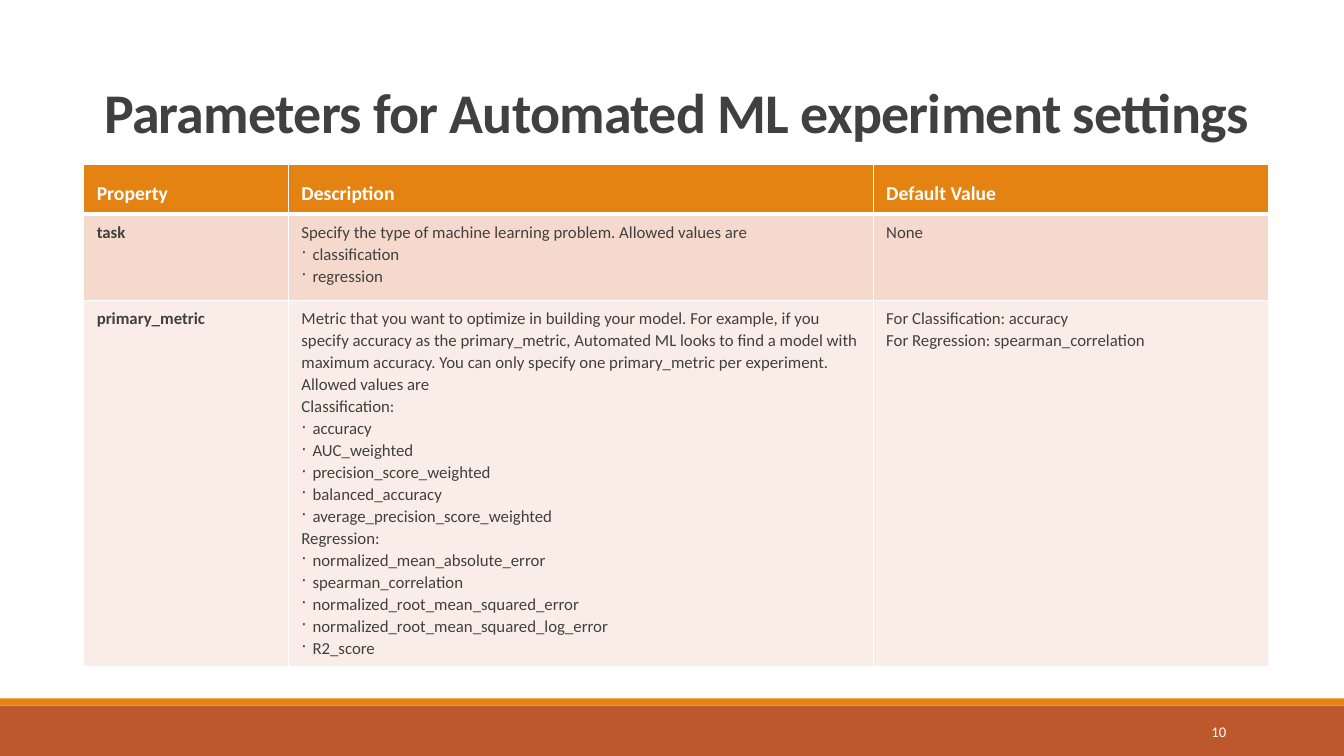
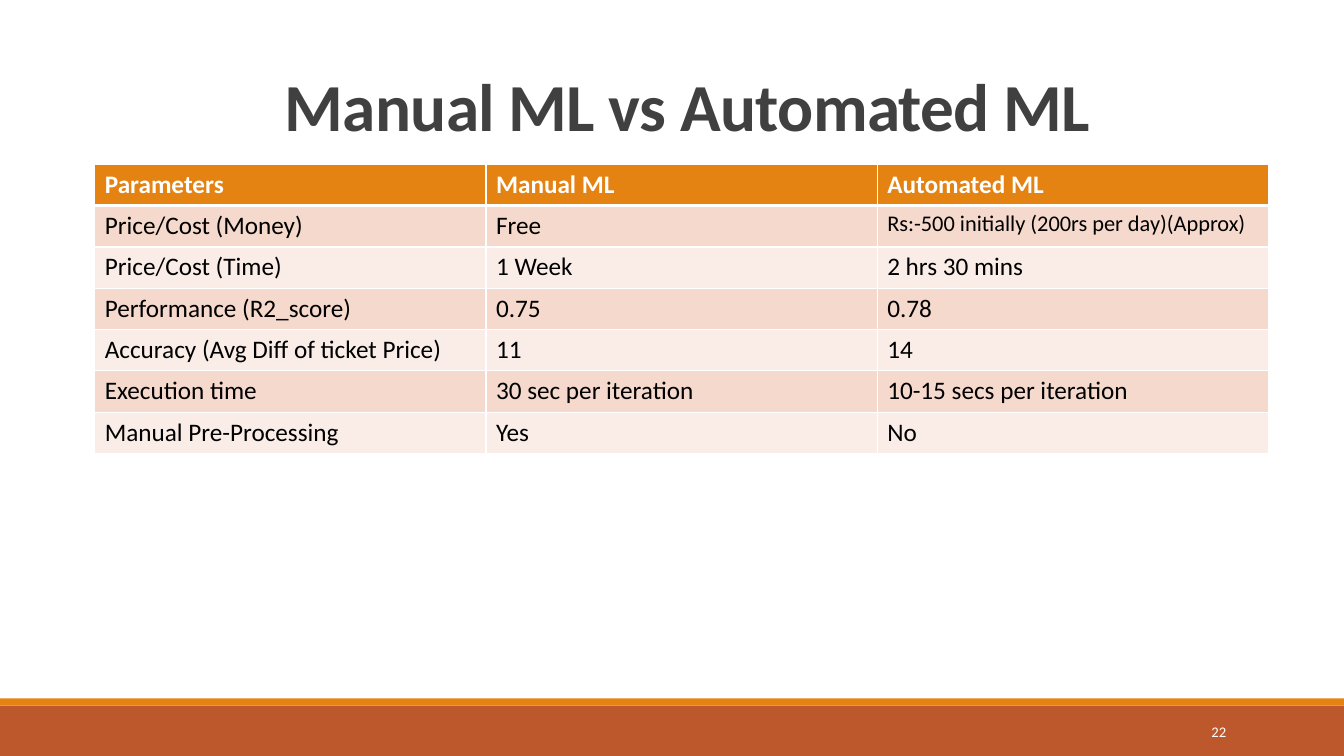
from dataclasses import dataclass
from typing import Optional

import pptx
import pptx.dml.color
import pptx.enum.shapes
import pptx.enum.text
import pptx.oxml.ns
import pptx.util
from lxml import etree

Inches = pptx.util.Inches
Pt = pptx.util.Pt
Align = pptx.enum.text.PP_ALIGN
Anchor = pptx.enum.text.MSO_ANCHOR


# Colours and type sizes
@dataclass(frozen=True)
class Theme:
    font: str = "Calibri"
    orange: str = "E48312"
    rust: str = "BD582C"
    dark: str = "404040"
    black: str = "000000"
    white: str = "FFFFFF"
    bands: tuple = ("F5D9CC", "FAEDE7")
    page: float = 10.5
    thin: float = 1
    thick: float = 3


THEME = Theme()


@dataclass(frozen=True)
class Para:
    text: str
    dot: bool = False
    size: Optional[float] = None


@dataclass(frozen=True)
class Look:
    """How the cells of one table are set."""
    head: float
    body: float
    ink: str
    pads: tuple        # head and body insets: left, then the other sides
    anchor: Anchor = Anchor.TOP
    lead: Optional[float] = None
    lift: bool = False  # bold first column


@dataclass(frozen=True)
class Grid:
    left: float
    cols: tuple
    rows: tuple
    cells: tuple
    look: Look


@dataclass(frozen=True)
class Page:
    title: str
    size: float
    number: int
    grid: Grid


def color(code: str):
    return pptx.dml.color.RGBColor.from_string(code)


def style(para, size: float, ink: str, bold: bool = False) -> None:
    for run in para.runs:
        font = run.font
        font.name, font.size, font.bold = THEME.font, Pt(size), bold
        font.color.rgb = color(ink)


def band(slide, top: float, height: float, code: str) -> None:
    kind = pptx.enum.shapes.MSO_SHAPE.RECTANGLE
    shape = slide.shapes.add_shape(
        kind, 0, Inches(top), Inches(13.33), Inches(height))
    shape.shadow.inherit = False
    shape.fill.solid()
    shape.fill.fore_color.rgb = color(code)
    shape.line.fill.background()


def label(slide, box: tuple, text: str, anchor: Anchor, align: Align):
    shape = slide.shapes.add_textbox(*map(Inches, box))
    frame = shape.text_frame
    frame.word_wrap = True
    frame.vertical_anchor = anchor
    frame.text = text
    para = frame.paragraphs[0]
    para.alignment = align
    return para


# Table parts
def border(cell, top: float, bottom: float) -> None:
    props = cell._tc.get_or_add_tcPr()
    qn = pptx.oxml.ns.qn
    widths = {"L": THEME.thin, "R": THEME.thin, "T": top, "B": bottom}
    for side, width in widths.items():
        line = etree.SubElement(props, qn("a:ln" + side), w=str(Pt(width)))
        fill = etree.SubElement(line, qn("a:solidFill"))
        etree.SubElement(fill, qn("a:srgbClr"), val=THEME.white)


def bullet(para) -> None:
    props = para._p.get_or_add_pPr()
    props.set("marL", str(Inches(0.11)))
    props.set("indent", str(-Inches(0.11)))
    etree.SubElement(props, pptx.oxml.ns.qn("a:buChar"), char="·")


def write(cell, item, row: int, col: int, look: Look) -> None:
    head = row == 0
    border(cell, THEME.thick if row == 1 else THEME.thin,
           THEME.thick if head else THEME.thin)
    cell.fill.solid()
    cell.fill.fore_color.rgb = color(
        THEME.orange if head else THEME.bands[(row - 1) % 2])
    left, rest = look.pads[0 if head else 1]
    cell.margin_left = Inches(left)
    cell.margin_right = cell.margin_top = cell.margin_bottom = Inches(rest)
    if look.lead:
        cell.margin_right = Inches(rest)
    else:
        cell.margin_right = Inches(left)
    cell.vertical_anchor = look.anchor if head else Anchor.TOP

    parts = item if isinstance(item, tuple) else (item,)
    parts = [p if isinstance(p, Para) else Para(p) for p in parts]
    frame = cell.text_frame
    frame.text = "\n".join(p.text for p in parts)
    for para, part in zip(frame.paragraphs, parts):
        if look.lead:
            para.line_spacing = Pt(look.lead)
        if part.dot:
            bullet(para)
        style(para, part.size or (look.head if head else look.body),
              THEME.white if head else look.ink,
              head or (look.lift and col == 0))


def table(slide, grid: Grid) -> None:
    shape = slide.shapes.add_table(
        len(grid.rows), len(grid.cols), Inches(grid.left), Inches(1.63),
        Inches(sum(grid.cols)), Inches(sum(grid.rows)))
    body = shape.table
    for col, width in zip(body.columns, grid.cols):
        col.width = Inches(width)
    for row, height in zip(body.rows, grid.rows):
        row.height = Inches(height)
    for r, line in enumerate(grid.cells):
        for c, item in enumerate(line):
            write(body.cell(r, c), item, r, c, grid.look)


# One slide: bands, page number, title, table
def draw(deck, page: Page) -> None:
    slide = deck.slides.add_slide(deck.slide_layouts[6])
    band(slide, 7, 0.5, THEME.rust)
    band(slide, 6.93, 0.07, THEME.orange)
    foot = label(slide, (10.83, 7.06, 1.43, 0.4), str(page.number),
                 Anchor.MIDDLE, Align.RIGHT)
    style(foot, THEME.page, THEME.white)
    title = label(slide, (page.grid.left, 0.04, 11.76, 1.45), page.title,
                  Anchor.BOTTOM, Align.CENTER)
    title.line_spacing = 0.85
    style(title, page.size, THEME.dark, True)
    title.runs[0].font._element.set("spc", "-50")
    table(slide, page.grid)


def dots(*names: str) -> tuple:
    return tuple(Para(name, dot=True) for name in names)


# Content
SETUP = Grid(
    left=0.83, cols=(2.03, 5.8, 3.92), rows=(0.49, 0.86, 3.58),
    look=Look(14, 12, THEME.dark, ((0.13, 0.08), (0.13, 0.07)),
              Anchor.BOTTOM, 15.7, True),
    cells=(
        ("Property", "Description", "Default Value"),
        ("task",
         ("Specify the type of machine learning problem. "
          "Allowed values are",
          *dots("classification", "regression")),
         "None"),
        ("primary_metric",
         ("Metric that you want to optimize in building your model. "
          "For example, if you specify accuracy as the primary_metric, "
          "Automated ML looks to find a model with maximum accuracy. "
          "You can only specify one primary_metric per experiment. "
          "Allowed values are",
          "Classification:",
          *dots("accuracy", "AUC_weighted", "precision_score_weighted",
                "balanced_accuracy", "average_precision_score_weighted"),
          "Regression:",
          *dots("normalized_mean_absolute_error", "spearman_correlation",
                "normalized_root_mean_squared_error",
                "normalized_root_mean_squared_log_error", "R2_score")),
         ("For Classification: accuracy",
          "For Regression: spearman_correlation")),
    ))

MATCH = Grid(
    left=0.94, cols=(3.88,) * 3, rows=(0.41,) * 7,
    look=Look(18, 18, THEME.black, ((0.1, 0.05),) * 2),
    cells=(
        ("Parameters", "Manual ML", "Automated ML"),
        ("Price/Cost (Money)", "Free",
         Para("Rs:-500 initially (200rs per day)(Approx)", size=16)),
        ("Price/Cost (Time)", "1 Week", "2 hrs 30 mins"),
        ("Performance (R2_score)", "0.75", "0.78"),
        ("Accuracy (Avg Diff of ticket Price)", "11", "14"),
        ("Execution time", "30 sec per iteration",
         "10-15 secs per iteration"),
        ("Manual Pre-Processing", "Yes", "No"),
    ))

PAGES = (
    Page("Parameters for Automated ML experiment settings", 40, 10, SETUP),
    Page("Manual ML vs Automated ML", 48, 22, MATCH),
)


def main() -> None:
    deck = pptx.Presentation()
    deck.slide_width, deck.slide_height = Inches(13.33), Inches(7.5)
    for page in PAGES:
        draw(deck, page)
    deck.save("out.pptx")


if __name__ == "__main__":
    main()
